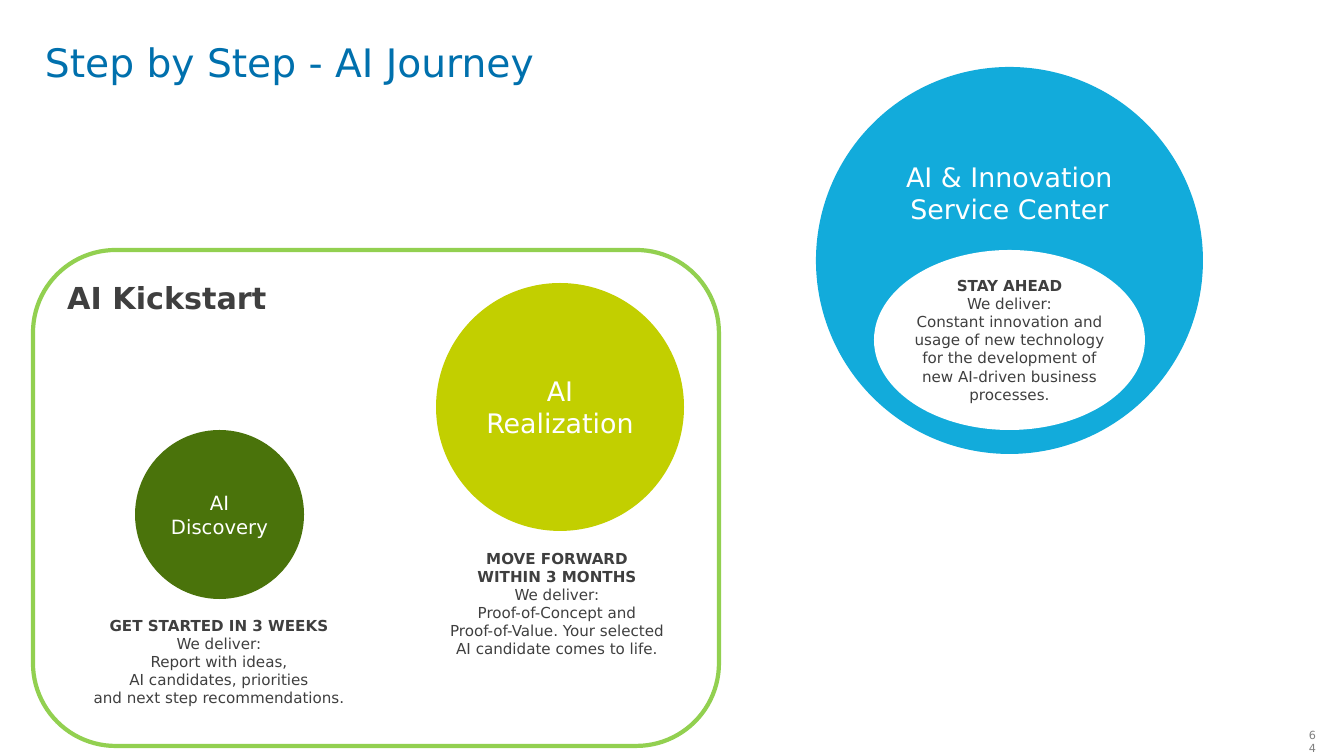
from pptx import Presentation
from pptx.dml.color import RGBColor
from pptx.enum.shapes import MSO_SHAPE as SHAPE
from pptx.enum.text import MSO_ANCHOR as ANCHOR, PP_ALIGN as ALIGN
from pptx.util import Pt

FONT = "DejaVu Sans"
EMU_PER_PX = 914400 / 100.8
COLORS = {
    "title": "0070AD", "text": "3F3F3F", "number": "808080", "white": "FFFFFF",
    "center": "12ABDB", "discovery": "4A730B", "realization": "C2CF00", "frame": "92D050",
}

TITLE = ("Step by Step - AI Journey", (45, 44, 1207, 96))
PAGE_NUMBER = ("64", (1299, 723, 27, 24))
KICKSTART = ("AI Kickstart", (33, 250, 686, 496))
SERVICE_CENTER = ("AI & Innovation Service Center", (816, 67, 387, 387))

# Label, box, fill, text size
STEPS = [
    ("AI Discovery", (135, 430, 169, 169), "discovery", 14),
    ("AI Realization", (436, 283, 248, 248), "realization", 19.2),
]
# Shape, box, bold lines, plain lines
PROMISES = [
    (SHAPE.OVAL, (874, 250, 271, 180), ["STAY AHEAD"],
     ["We deliver:", "Constant innovation and usage of new technology "
      "for the development of new AI-driven business processes."]),
    (SHAPE.ROUNDED_RECTANGLE, (84, 611, 270, 102), ["GET STARTED IN 3 WEEKS"],
     ["We deliver:", "Report with ideas,", "AI candidates, priorities",
      "and next step recommendations."]),
    (SHAPE.ROUNDED_RECTANGLE, (422, 543, 270, 122), ["MOVE FORWARD", "WITHIN 3 MONTHS"],
     ["We deliver:", "Proof-of-Concept and", "Proof-of-Value. Your selected",
      "AI candidate comes to life."]),
]


def px(length):
    return round(length * EMU_PER_PX)


def rgb(name):
    return RGBColor.from_string(COLORS[name])


def write(holder, bold_lines=(), plain_lines=(), *, size, color="text", align=ALIGN.CENTER,
          anchor=ANCHOR.TOP, insets=(10, 5, 10, 5), line_spacing=None):
    """Fill a shape with one paragraph: bold lines first, then plain ones."""
    frame = holder.text_frame
    frame.word_wrap = True
    frame.vertical_anchor = anchor
    (frame.margin_left, frame.margin_top,
     frame.margin_right, frame.margin_bottom) = map(px, insets)
    paragraph = frame.paragraphs[0]
    paragraph.alignment = align
    paragraph.line_spacing = line_spacing
    paragraph.font.size = Pt(size)
    lines = [(line, True) for line in bold_lines] + [(line, False) for line in plain_lines]
    for index, (line, bold) in enumerate(lines):
        if index:
            paragraph.add_line_break()
        run = paragraph.add_run()
        run.text = line
        run.font.name = FONT
        run.font.size = Pt(size)
        run.font.bold = bold
        run.font.color.rgb = rgb(color)


def add_shape(slide, kind, box, fill=None, line=None):
    shape = slide.shapes.add_shape(kind, *map(px, box))
    shape.shadow.inherit = False
    if fill:
        shape.fill.solid()
        shape.fill.fore_color.rgb = rgb(fill)
    else:
        shape.fill.background()
    if line:
        shape.line.color.rgb = rgb(line)
        shape.line.width = Pt(3)
    else:
        shape.line.fill.background()
    return shape


def add_label(slide, label, **text_format):
    text, box = label
    write(slide.shapes.add_textbox(*map(px, box)), plain_lines=[text], **text_format)


def main():
    deck = Presentation()
    deck.slide_width, deck.slide_height = px(1344), px(756)
    slide = deck.slides.add_slide(deck.slide_layouts[6])

    add_label(slide, PAGE_NUMBER, size=8, color="number", align=ALIGN.RIGHT)

    name, box = SERVICE_CENTER
    service_center = add_shape(slide, SHAPE.OVAL, box, "center")
    write(service_center, plain_lines=[name], size=19.2, color="white", insets=(10, 37, 10, 5))

    for name, box, fill, size in STEPS:
        step = add_shape(slide, SHAPE.OVAL, box, fill)
        write(step, plain_lines=[name], size=size, color="white", anchor=ANCHOR.MIDDLE)

    for kind, box, headline, details in PROMISES:
        promise = add_shape(slide, kind, box, "white")
        write(promise, headline, details, size=10.8, insets=(0, 0, 0, 0))

    name, box = KICKSTART
    kickstart = add_shape(slide, SHAPE.ROUNDED_RECTANGLE, box, line="frame")
    write(kickstart, [name], size=21.6, align=ALIGN.LEFT)

    add_label(slide, TITLE, size=28, color="title", align=ALIGN.LEFT,
              insets=(0, 0, 0, 0), line_spacing=0.9)

    deck.save("out.pptx")


if __name__ == "__main__":
    main()
